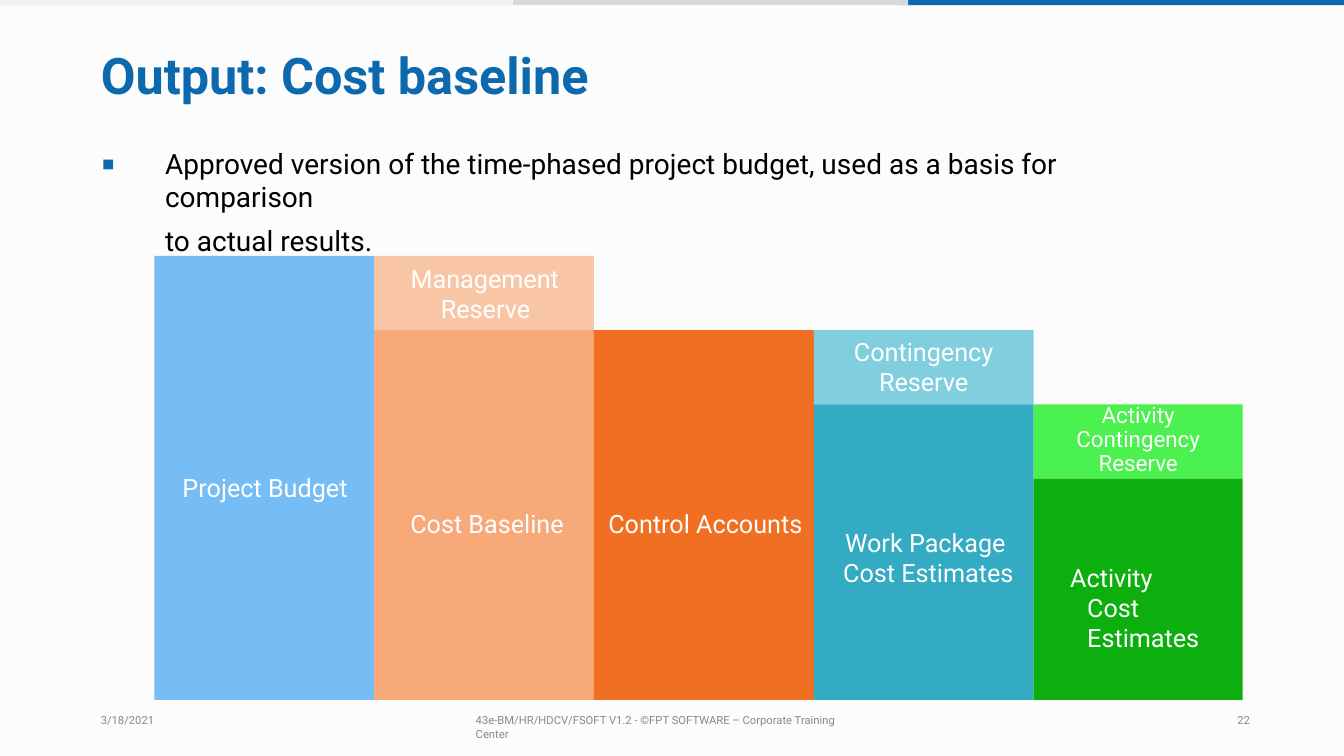
from dataclasses import dataclass

from lxml.etree import SubElement
from pptx import Presentation
from pptx.dml.color import RGBColor
from pptx.enum.shapes import MSO_SHAPE as Shape
from pptx.enum.text import MSO_ANCHOR as Anchor, MSO_AUTO_SIZE as AutoSize, PP_ALIGN as Align
from pptx.oxml.ns import qn
from pptx.util import Cm, Pt

FONT = "Roboto"
COLOURS = {
    "paper": "FCFCFC", "blue": "0D69AE", "bar": "D9D9D9", "pale_bar": "F1F1F1",
    "footer": "888888", "black": "000000", "white": "FFFFFF",
    "budget": "76BCF5", "management": "F9C5A7", "baseline": "F7A97A",
    "control": "F16F22", "contingency": "81CFDE", "package": "33ABC3",
    "activity_reserve": "4BF14E", "activity": "0DAF0E",
}


@dataclass
class Block:
    colour: str
    lines: tuple
    inset: float
    margins: tuple = (0,)
    hanging: float = 0
    align: Align = Align.LEFT
    size: int = 18
    spacing: float = 0


COLUMNS = [
    (0, [Block("budget", ("Project Budget",), 5.44, (0.71,))]),
    (0, [Block("management", ("Management Reserve",), 0.18, (1.68,), -0.76),
         Block("baseline", ("Cost Baseline",), 4.48, (0.91,))]),
    (1, [Block("control", ("Control Accounts",), 4.48, (0.36,))]),
    (1, [Block("contingency", ("Contingency", "Reserve"), 0.15, align=Align.CENTER),
         Block("package", ("Work Package", "Cost Estimates"), 3.1, (0.79, 0.74))]),
    (2, [Block("activity_reserve", ("Activity", "Contingency", "Reserve"), 0,
               align=Align.CENTER, size=16, spacing=17),
         Block("activity", ("Activity\vCost\vEstimates",), 2.1, (1.35,), -0.43)]),
]


def colour(name):
    return RGBColor.from_string(COLOURS[name])


def prepare_frame(shape, inset):
    frame = shape.text_frame
    frame.word_wrap = True
    frame.auto_size = AutoSize.NONE
    frame.vertical_anchor = Anchor.TOP
    frame.margin_left = frame.margin_right = frame.margin_bottom = 0
    frame.margin_top = Cm(inset)
    return frame


def add_paragraph(frame, first):
    return frame.paragraphs[0] if first else frame.add_paragraph()


def indent(para, margin, hanging=0):
    properties = para._p.get_or_add_pPr()
    properties.set("marL", str(Cm(margin)))
    properties.set("indent", str(Cm(hanging)))
    return properties


def write(para, text, size, ink, bold=False):
    for number, part in enumerate(text.split("\v")):
        if number:
            para.add_line_break()
        span = para.add_run()
        span.text = part
        span.font.name = FONT
        span.font.size = Pt(size)
        span.font.bold = bold
        span.font.color.rgb = colour(ink)


def add_rectangle(page, left, top, width, height, fill):
    box = page.shapes.add_shape(Shape.RECTANGLE, Cm(left), Cm(top), Cm(width), Cm(height))
    box.shadow.inherit = False
    box.fill.solid()
    box.fill.fore_color.rgb = colour(fill)
    box.line.fill.background()
    return box


def add_top_bars(page):
    for left, width, fill in ((22.65, 11.22, "blue"), (9.24, 13.65, "bar"), (0, 12.93, "pale_bar")):
        add_rectangle(page, left, 0, width, 0.13, fill)


def add_title(page, left, top, width, height):
    title = page.shapes.title
    title.left, title.top, title.width, title.height = Cm(left), Cm(top), Cm(width), Cm(height)
    para = prepare_frame(title, 0.13).paragraphs[0]
    para.alignment = Align.LEFT
    write(para, "Output: Cost baseline", 36, "blue", bold=True)


def add_body(page, left, top, width, height):
    box = page.shapes.add_textbox(Cm(left), Cm(top), Cm(width), Cm(height))
    frame = prepare_frame(box, 0.3)
    para = frame.paragraphs[0]
    properties = indent(para, 1.62, -1.6)
    bullet_colour = SubElement(properties, qn("a:buClr"))
    SubElement(bullet_colour, qn("a:srgbClr"), val=COLOURS["blue"])
    SubElement(properties, qn("a:buSzPct"), val="120000")
    SubElement(properties, qn("a:buFont"), typeface=FONT)
    SubElement(properties, qn("a:buChar"), char="▪")
    write(para, "Approved version of the time-phased project budget, "
                "used as a basis for comparison", 20, "black")
    para = frame.add_paragraph()
    indent(para, 1.62)
    para.space_before = Pt(7.2)
    write(para, "to actual results.", 20, "black")


def add_block(page, left, top, width, height, block):
    box = add_rectangle(page, left, top, width, height, block.colour)
    frame = prepare_frame(box, block.inset)
    for number, text in enumerate(block.lines):
        para = add_paragraph(frame, number == 0)
        indent(para, block.margins[number % len(block.margins)], block.hanging)
        para.alignment = block.align
        if block.spacing:
            para.line_spacing = Pt(block.spacing)
        write(para, text, block.size, "white")


def add_budget_steps(page, left, top, width, height):
    column_width, step = 5.54, 1.87
    for number, (level, blocks) in enumerate(COLUMNS):
        x = number * column_width
        y = level * step
        for block in blocks:
            block_height = height - y if block is blocks[-1] else step
            add_block(page, left + x, top + y, min(column_width, width - x), block_height, block)
            y += step


def add_footer(page, top, height):
    notes = (
        (2.54, 1.6, "3/18/2021"),
        (11.99, 9.85, "43e-BM/HR/HDCV/FSOFT V1.2 - ©FPT SOFTWARE – Corporate Training Center"),
        (30.99, 0.7, "22"),
    )
    for left, width, text in notes:
        box = page.shapes.add_textbox(Cm(left), Cm(top), Cm(width), Cm(height))
        para = prepare_frame(box, 0.05).paragraphs[0]
        if text == "22":
            para.alignment = Align.CENTER
        write(para, text, 8, "footer")


def main():
    deck = Presentation()
    deck.slide_width, deck.slide_height = Cm(33.87), Cm(19.05)
    page = deck.slides.add_slide(deck.slide_layouts[5])
    page.background.fill.solid()
    page.background.fill.fore_color.rgb = colour("paper")
    add_top_bars(page)
    add_title(page, 2.54, 0.97, 26.7, 1.42)
    add_body(page, 2.54, 3.38, 27.9, 2.26)
    add_budget_steps(page, 3.89, 6.45, 27.43, 11.19)
    add_footer(page, 17.93, 0.43)
    deck.save("out.pptx")


if __name__ == "__main__":
    main()
